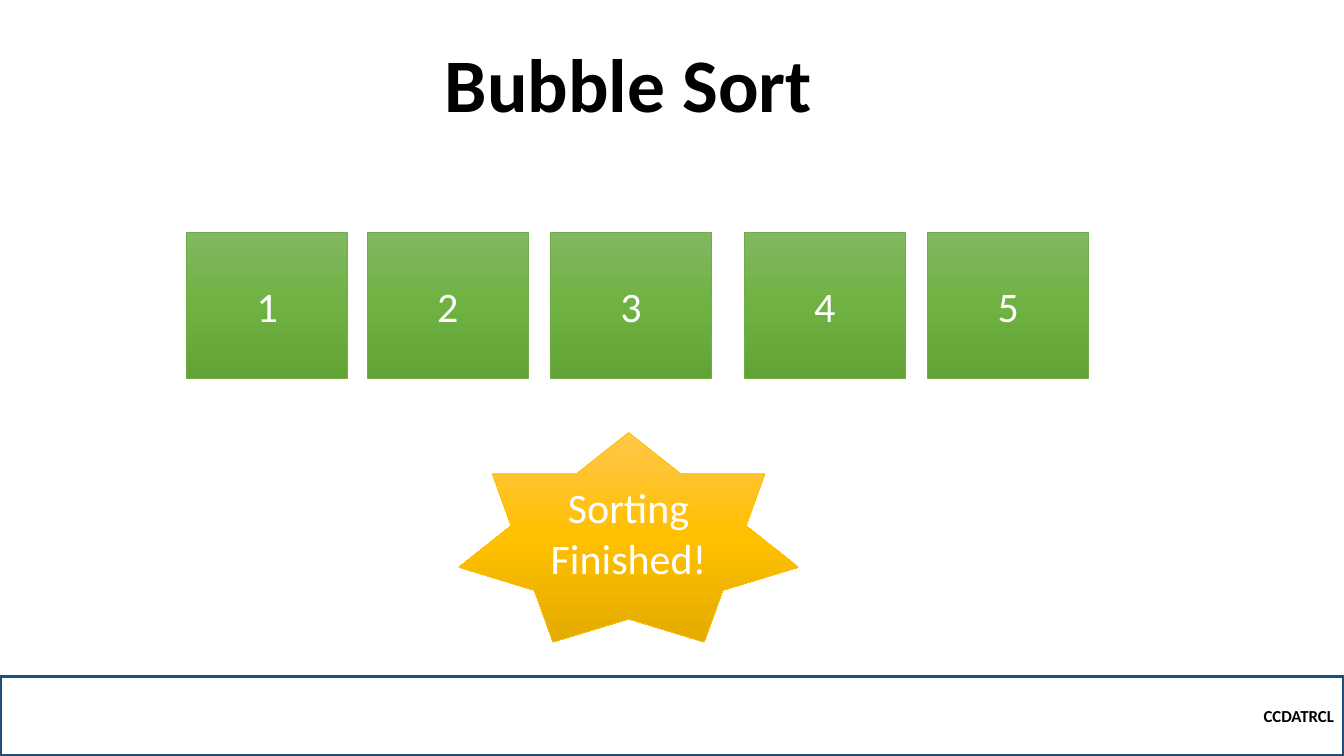
from copy import deepcopy
from dataclasses import dataclass

from pptx import Presentation
from pptx.dml.color import RGBColor
from pptx.enum.shapes import MSO_SHAPE as Preset
from pptx.enum.text import MSO_ANCHOR as Anchor, PP_ALIGN as Align
from pptx.oxml.ns import qn
from pptx.shapes.autoshape import Shape
from pptx.slide import Slide
from pptx.util import Inches, Pt

COLORS = {
    "black": "000000",
    "white": "FFFFFF",
    "navy": "1F4E79",
    "green": "70AD47",
    "green_top": "81B861",
    "green_middle": "6FB242",
    "green_bottom": "62A336",
    "gold": "FFC000",
    "gold_top": "FFC64B",
    "gold_bottom": "E3AB00",
}
FONT = "Calibri"
GREEN_SHADES = ("green_top", "green_middle", "green_bottom")
GOLD_SHADES = ("gold_top", "gold", "gold_bottom")


@dataclass
class Block:
    text: str
    left: float
    top: float
    width: float
    height: float
    line: str
    line_width: float = 0.5
    preset: Preset = Preset.RECTANGLE
    shades: tuple[str, ...] = ()
    size: int = 30
    color: str = "white"
    bold: bool = False
    align: Align = Align.CENTER


def rgb(name: str) -> RGBColor:
    return RGBColor.from_string(COLORS[name])


def write_text(box: Shape, text: str, size: int, color: str, bold: bool,
               align: Align, anchor: Anchor) -> None:
    frame = box.text_frame
    frame.text = text
    frame.word_wrap = True
    frame.vertical_anchor = anchor
    para = frame.paragraphs[0]
    para.alignment = align
    for span in para.runs:
        span.font.name = FONT
        span.font.size = Pt(size)
        span.font.bold = bold
        span.font.color.rgb = rgb(color)


def shade_downward(box: Shape, shades: tuple[str, ...]) -> None:
    box.fill.gradient()
    box.fill.gradient_angle = 270
    stop_list = next(box._element.spPr.iter(qn("a:gsLst")))
    while len(stop_list) < len(shades):
        stop_list.insert(1, deepcopy(stop_list[0]))
    for index, (stop, shade) in enumerate(zip(box.fill.gradient_stops, shades)):
        stop.position = index / (len(shades) - 1)
        stop.color.rgb = rgb(shade)


def draw_block(page: Slide, block: Block) -> None:
    box = page.shapes.add_shape(block.preset, Inches(block.left), Inches(block.top),
                                Inches(block.width), Inches(block.height))
    box.shadow.inherit = False
    if block.shades:
        shade_downward(box, block.shades)
    else:
        box.fill.background()
    box.line.color.rgb = rgb(block.line)
    box.line.width = Pt(block.line_width)
    write_text(box, block.text, block.size, block.color, block.bold,
               block.align, Anchor.MIDDLE)


def draw_title(page: Slide, text: str) -> None:
    box = page.shapes.add_textbox(Inches(0.8), Inches(0.54), Inches(10.87), Inches(0.79))
    write_text(box, text, 54, "black", True, Align.CENTER, Anchor.BOTTOM)
    box.text_frame.paragraphs[0].line_spacing = 0.9


def main() -> None:
    deck = Presentation()
    deck.slide_width = Inches(13.33)
    deck.slide_height = Inches(7.5)
    page = deck.slides.add_slide(deck.slide_layouts[6])

    draw_title(page, "Bubble Sort")
    footer = Block("CCDATRCL", 0, 6.71, 13.33, 0.79, "navy", 2.25,
                   size=12, color="black", bold=True, align=Align.RIGHT)
    numbers = [Block(str(number), left, 2.31, 1.6, 1.44, "green", shades=GREEN_SHADES)
               for number, left in enumerate((1.85, 3.64, 5.46, 7.38, 9.2), start=1)]
    star = Block("Sorting Finished!", 4.55, 4.29, 3.37, 2.08, "gold",
                 preset=Preset.STAR_7_POINT, shades=GOLD_SHADES)
    for block in (footer, *numbers, star):
        draw_block(page, block)

    deck.save("out.pptx")


if __name__ == "__main__":
    main()
